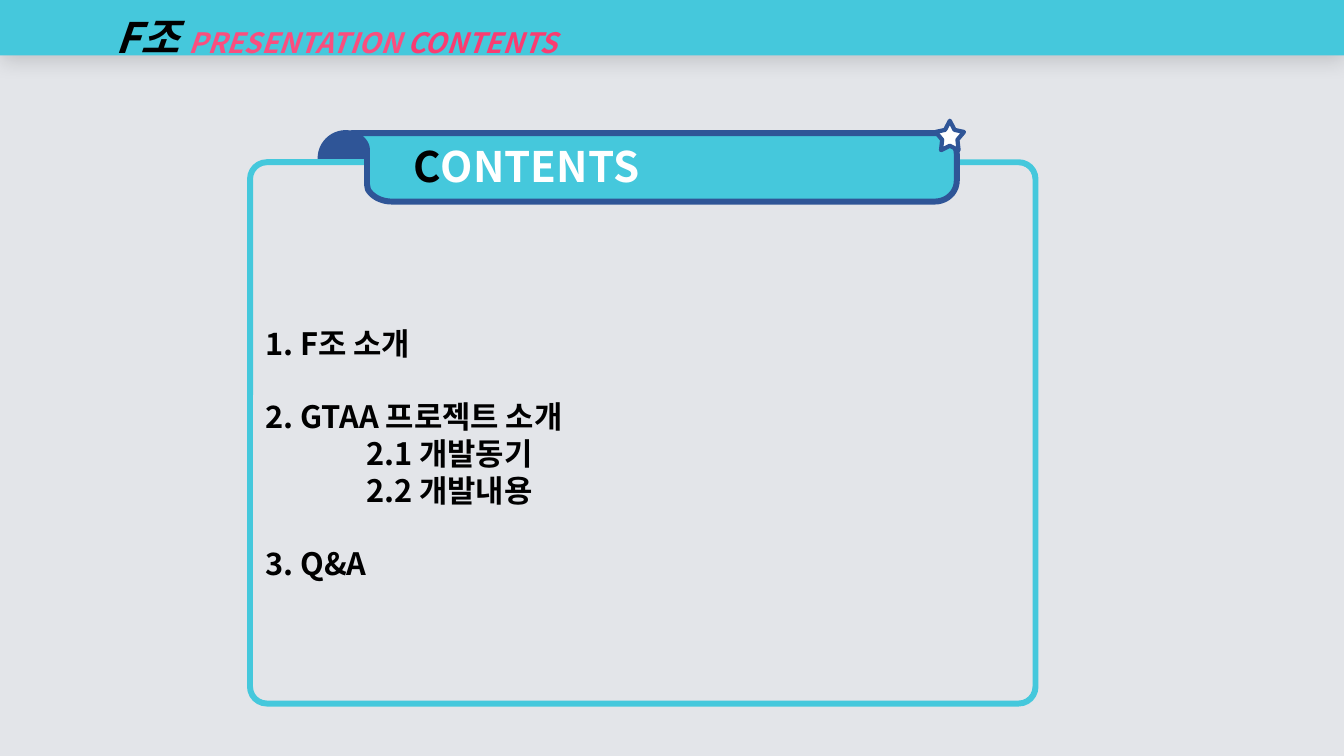
import pptx
import pptx.util
import pptx.dml.color
import pptx.enum.shapes
import pptx.enum.text
import pptx.oxml
import pptx.oxml.ns
from collections import namedtuple

Inch = pptx.util.Inches
Kind = pptx.enum.shapes.MSO_SHAPE
Side = pptx.enum.text.PP_ALIGN
Mid = pptx.enum.text.MSO_ANCHOR
WIDE, HIGH = 13.33, 7.5

THEME = dict(
    font="Noto Sans CJK KR",
    back="E3E5E9", cyan="45C8DC", navy="2F5597", white="FFFFFF",
    black="000000", pink="FA4E7E", rose="FA3C71",
    head=30, sub=20, list=22, step=26.1, edge=4.25, thin=3,
)

Box = namedtuple("Box", "x y w h")


def part(box, x, y, w, h):
    """Box given by shares of another box."""
    return Box(box.x + x * box.w, box.y + y * box.h, w * box.w, h * box.h)


def rgb(name):
    return pptx.dml.color.RGBColor.from_string(THEME[name])


def put(item, vals):
    for key, val in vals.items():
        setattr(item, key, val)


def paint(shape, fill, line=None, edge="edge"):
    shape.shadow.inherit = False
    shape.fill.solid()
    shape.fill.fore_color.rgb = rgb(fill)
    if line:
        shape.line.color.rgb = rgb(line)
        shape.line.width = pptx.util.Pt(THEME[edge])
    else:
        shape.line.fill.background()
    return shape


def draw(slide, kind, box, *look):
    shape = slide.shapes.add_shape(kind, *map(Inch, box))
    return paint(shape, *look)


def frame(shape, box, anchor, top=0.05):
    """Place a text holder and set its margins."""
    put(shape, dict(zip(("left", "top", "width", "height"), map(Inch, box))))
    text = shape.text_frame
    put(text, dict(word_wrap=True, vertical_anchor=anchor,
                   auto_size=pptx.enum.text.MSO_AUTO_SIZE.NONE,
                   margin_left=Inch(0.05), margin_right=Inch(0.05),
                   margin_top=Inch(top), margin_bottom=Inch(0.05)))
    return text


def write(para, runs, indent=0, **vals):
    """Fill a paragraph with (text, size, colour) runs."""
    props = para._p.get_or_add_pPr()
    props.set("marL", str(Inch(indent)))
    props.set("indent", "0")
    pptx.oxml.ns.qn("a:buNone")
    props.append(pptx.oxml.parse_xml(
        f'<a:buNone {pptx.oxml.ns.nsdecls("a")}/>'))
    put(para, dict(alignment=Side.LEFT, space_before=pptx.util.Pt(0)))
    for words, size, tint in runs:
        run = para.add_run()
        run.text = words
        put(run.font, dict(name=THEME["font"], bold=True,
                           size=pptx.util.Pt(THEME[size]), **vals))
        run.font.color.rgb = rgb(tint)
        run.font._element.append(pptx.oxml.parse_xml(
            f'<a:ea {pptx.oxml.ns.nsdecls("a")} typeface="{THEME["font"]}"/>'))


def curve(a, b, c, d, steps=10):
    """Points along a cubic curve after its start."""
    for i in range(1, steps + 1):
        t = i / steps
        s = 1 - t
        yield tuple(s**3 * p + 3 * s * s * t * q + 3 * s * t * t * r + t**3 * e
                    for p, q, r, e in zip(a, b, c, d))


def ribbon(slide, box):
    """Banner outline with a rolled left end."""
    x, y, r, b = box.x, box.y, box.x + box.w, box.y + box.h
    dots = [(r - 0.22, y)]
    for bend in (
        ((r - 0.1, y), (r, y + 0.1), (r, y + 0.21)),
        ((r, b - 0.21),),
        ((r, b - 0.09), (r - 0.1, b), (r - 0.22, b)),
        ((x + 0.4, b),),
        ((x + 0.29, b), (x + 0.2, b - 0.05), (x + 0.16, b - 0.12)),
        ((x + 0.15, b - 0.17),),
        ((x + 0.15, y + 0.17),),
        ((x + 0.15, y + 0.11), (x + 0.11, y + 0.05), (x + 0.04, y + 0.03)),
        ((x, y + 0.02),),
        ((x, y),),
    ):
        dots.extend(curve(dots[-1], *bend) if len(bend) == 3 else bend)
    dots = [tuple(map(Inch, dot)) for dot in dots]
    path = slide.shapes.build_freeform(*dots[0])
    path.add_line_segments(dots[1:], close=True)
    paint(path.convert_to_shape(), "cyan", "navy")


def panel(slide, box):
    """Framed list of contents."""
    shape = draw(slide, Kind.ROUNDED_RECTANGLE, box, "back", "cyan")
    shape.adjustments[0] = 0.031
    body = slide.placeholders[1]
    slide.shapes._spTree.append(body.element)
    text = frame(body, part(box, 0.013, 0.214, 0.974, 0.572), Mid.TOP, 0.47)
    step = pptx.util.Pt(THEME["step"])
    rows = (("1. F조 소개", 0, 0), ("2. GTAA 프로젝트 소개", 0, 1),
            ("2.1 개발동기", 1, 0), ("2.2 개발내용", 1, 0), ("3. Q&A", 0, 1))
    for i, (words, level, gap) in enumerate(rows):
        para = text.add_paragraph() if i else text.paragraphs[0]
        write(para, [(words, "list", "black")], indent=level)
        put(para, dict(level=level, line_spacing=step, space_before=step * gap))


def banner(slide, box):
    """Title ribbon with its star."""
    ribbon(slide, box)
    title = slide.shapes.title
    slide.shapes._spTree.append(title.element)
    text = frame(title, part(box, 0.01, 0.04, 0.98, 0.88), Mid.MIDDLE)
    write(text.paragraphs[0],
          [("C", "head", "black"), ("ONTENTS", "head", "white")], indent=0.5)
    star = draw(slide, Kind.STAR_5_POINT, part(box, 0.965, -0.18, 0.047, 0.43),
                "white", "navy", "thin")
    star.adjustments[0] = 0.269


def header(slide, box):
    """Top bar with a soft shadow."""
    bar = draw(slide, Kind.RECTANGLE, box, "cyan")
    glow = bar._element.spPr.find(pptx.oxml.ns.qn("a:effectLst"))
    glow.append(pptx.oxml.parse_xml(
        f'<a:outerShdw {pptx.oxml.ns.nsdecls("a")} blurRad="190500" '
        'dist="38100" dir="5400000" algn="t" rotWithShape="0">'
        f'<a:srgbClr val="{THEME["black"]}"><a:alpha val="15000"/></a:srgbClr>'
        '</a:outerShdw>'))
    area = part(box, 0, 0.09, 1, 1.14)
    text = frame(slide.shapes.add_textbox(*map(Inch, area)), area, Mid.MIDDLE)
    write(text.paragraphs[0],
          [("F조 ", "head", "black"), ("PRESENTATION ", "sub", "pink"),
           ("CONTENTS", "sub", "rose")], indent=1.1, italic=True)


def main():
    deck = pptx.Presentation()
    put(deck, dict(slide_width=Inch(WIDE), slide_height=Inch(HIGH)))
    slide = deck.slides.add_slide(deck.slide_layouts[1])
    fill = slide.background.fill
    fill.solid()
    fill.fore_color.rgb = rgb("back")
    # Rolled end behind the panel
    curl = draw(slide, Kind.ROUND_2_SAME_RECTANGLE,
                Box(3.18, 1.32, 0.5, 0.98), "navy", "navy")
    curl.adjustments[0] = 0.5
    panel(slide, Box(2.48, 1.61, 7.79, 5.37))
    banner(slide, Box(3.49, 1.32, 6, 0.68))
    header(slide, Box(0, 0, WIDE, 0.55))
    deck.save("out.pptx")


if __name__ == "__main__":
    main()
